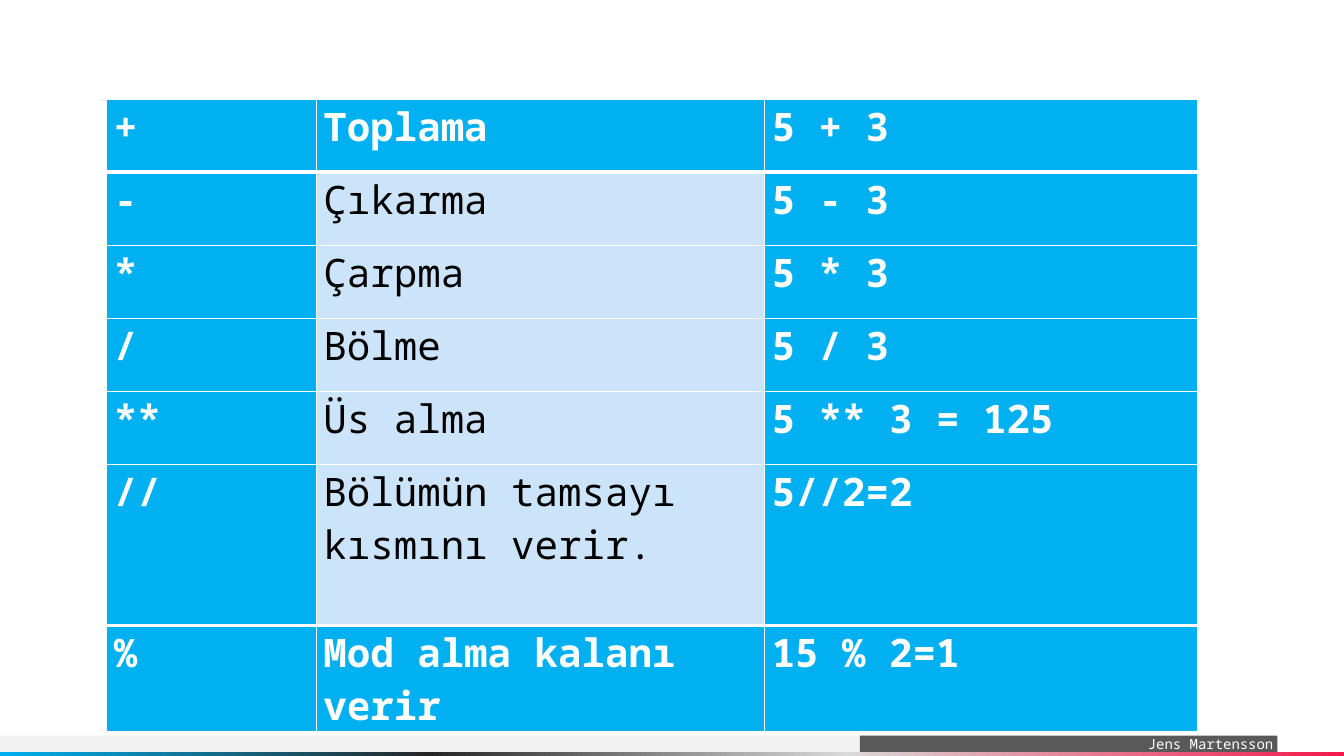
from lxml.etree import SubElement
from pptx import Presentation
from pptx.dml.color import RGBColor
from pptx.enum.shapes import MSO_SHAPE
from pptx.enum.text import MSO_ANCHOR, PP_ALIGN
from pptx.oxml.ns import qn
from pptx.util import Cm, Pt

FONT = "Noto Sans Mono"
WHITE = RGBColor(0xFF, 0xFF, 0xFF)
BLACK = RGBColor(0x00, 0x00, 0x00)
BLUE = RGBColor(0x00, 0xB0, 0xF0)
PALE_BLUE = RGBColor(0xCC, 0xE4, 0xF9)
LIGHT_GREY = RGBColor(0xF2, 0xF2, 0xF2)
SILVER = RGBColor(0xD9, 0xD9, 0xD9)
DARK_GREY = RGBColor(0x59, 0x59, 0x59)
CHARCOAL = RGBColor(0x26, 0x26, 0x26)
RED = RGBColor(0xF2, 0x19, 0x4A)

OPERATORS = [
    ("+", "Toplama", "5 + 3"),
    ("-", "Çıkarma", "5 - 3"),
    ("*", "Çarpma", "5 * 3"),
    ("/", "Bölme", "5 / 3"),
    ("**", "Üs alma", "5 ** 3 = 125"),
    ("//", "Bölümün tamsayı kısmını verir.", "5//2=2"),
    ("%", "Mod alma kalanı verir", "15 % 2=1"),
]
COLUMN_WIDTHS = [5.28, 11.3, 10.9]
ROW_HEIGHTS = [1.84] * 5 + [4.06, 2.03]
STRIPE_STOPS = [(0, RED), (37, SILVER), (68, CHARCOAL), (100, BLUE)]


def format_text(paragraph, size, color, bold=False):
    for run in paragraph.runs:
        run.font.name = FONT
        run.font.size = Pt(size)
        run.font.bold = bold
        run.font.color.rgb = color


def add_bar(slide, left, top, width, height, color):
    bar = slide.shapes.add_shape(
        MSO_SHAPE.RECTANGLE, Cm(left), Cm(top), Cm(width), Cm(height))
    bar.shadow.inherit = False
    bar.line.fill.background()
    bar.fill.solid()
    bar.fill.fore_color.rgb = color
    return bar


def add_presenter(bar, name):
    frame = bar.text_frame
    frame.text = name
    frame.word_wrap = True
    frame.vertical_anchor = MSO_ANCHOR.BOTTOM
    frame.margin_left, frame.margin_right = Cm(0.25), Cm(0.1)
    frame.margin_top = frame.margin_bottom = 0
    frame.paragraphs[0].alignment = PP_ALIGN.RIGHT
    format_text(frame.paragraphs[0], 10, WHITE)


def apply_gradient(bar, stops):
    bar.fill.gradient()
    bar.fill.gradient_angle = 180
    stop_list = next(bar.element.iter(qn("a:gsLst")))
    for default_stop in list(stop_list):
        stop_list.remove(default_stop)
    for position, color in stops:
        stop = SubElement(stop_list, qn("a:gs"), pos=str(position * 1000))
        SubElement(stop, qn("a:srgbClr"), val=str(color))


def add_borders(cell, top, bottom):
    properties = cell._tc.get_or_add_tcPr()
    for side, width in (("L", 1), ("R", 1), ("T", top), ("B", bottom)):
        border = SubElement(properties, qn(f"a:ln{side}"), w=str(Pt(width)))
        fill = SubElement(border, qn("a:solidFill"))
        SubElement(fill, qn("a:srgbClr"), val=str(WHITE))


def fill_cell(cell, text, background, color, bold):
    cell.margin_left = cell.margin_right = 0
    cell.margin_top = cell.margin_bottom = 0
    cell.fill.solid()
    cell.fill.fore_color.rgb = background
    cell.text = text
    paragraph = cell.text_frame.paragraphs[0]
    paragraph.space_before = Pt(4.8)
    paragraph._p.get_or_add_pPr().set("marL", str(Cm(0.18)))
    format_text(paragraph, 28, color, bold)


def add_operator_table(slide):
    table = slide.shapes.add_table(
        len(OPERATORS), len(COLUMN_WIDTHS), Cm(2.69), Cm(2.5),
        Cm(sum(COLUMN_WIDTHS)), Cm(sum(ROW_HEIGHTS))).table
    table.first_row = table.horz_banding = False
    for column, width in zip(table.columns, COLUMN_WIDTHS):
        column.width = Cm(width)
    for row, height in zip(table.rows, ROW_HEIGHTS):
        row.height = Cm(height)

    last = len(OPERATORS) - 1
    for row_index, operator in enumerate(OPERATORS):
        top = 3 if row_index in (1, last) else 1
        bottom = 3 if row_index in (0, last - 1) else 1
        for column_index, text in enumerate(operator):
            cell = table.cell(row_index, column_index)
            add_borders(cell, top, bottom)
            if column_index == 1 and 0 < row_index < last:
                fill_cell(cell, text, PALE_BLUE, BLACK, False)
            else:
                fill_cell(cell, text, BLUE, WHITE, True)


def main():
    presentation = Presentation()
    presentation.slide_width = Cm(33.87)
    presentation.slide_height = Cm(19.05)
    slide = presentation.slides.add_slide(presentation.slide_layouts[6])

    add_bar(slide, -0.03, 18.54, 26.14, 0.41, LIGHT_GREY)
    presenter_bar = add_bar(slide, 21.67, 18.54, 10.52, 0.41, DARK_GREY)
    add_presenter(presenter_bar, "Jens Martensson")
    stripe = add_bar(slide, -0.03, 18.95, 33.9, 0.1, BLUE)
    apply_gradient(stripe, STRIPE_STOPS)
    add_operator_table(slide)

    presentation.save("out.pptx")


if __name__ == "__main__":
    main()
